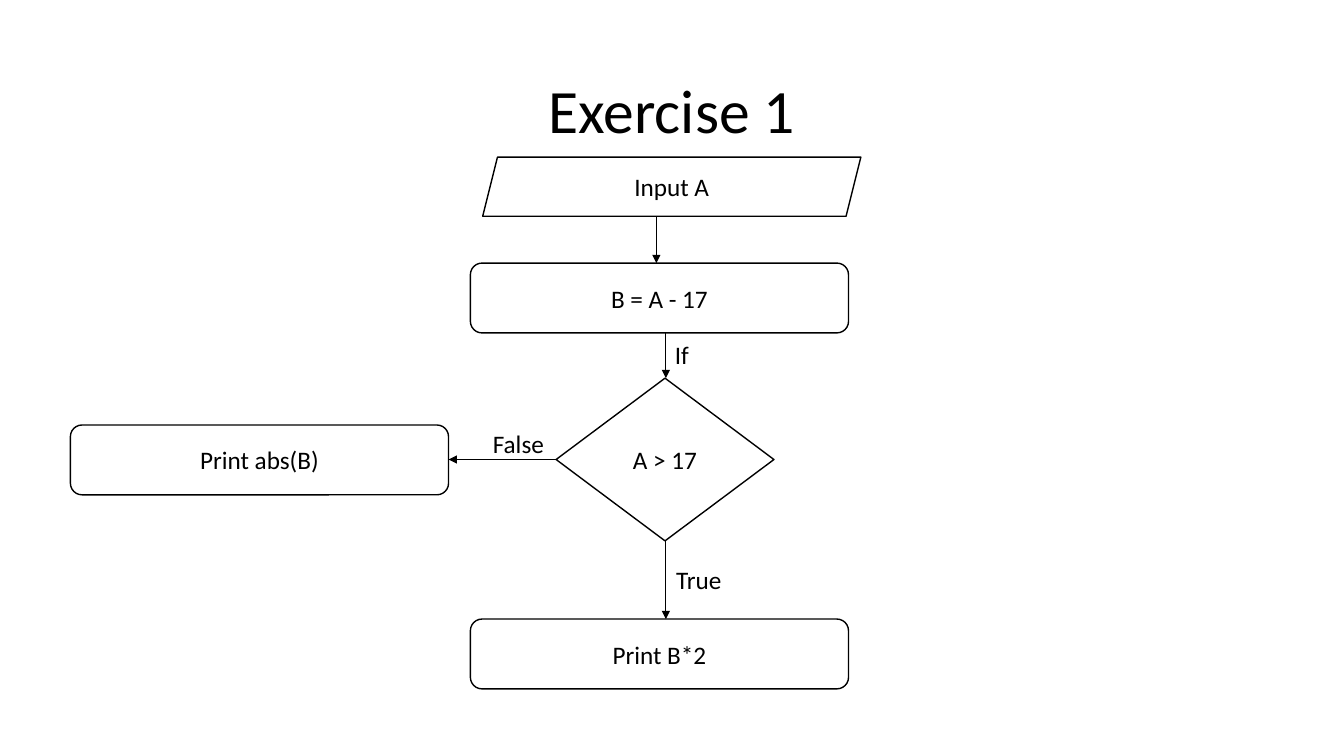
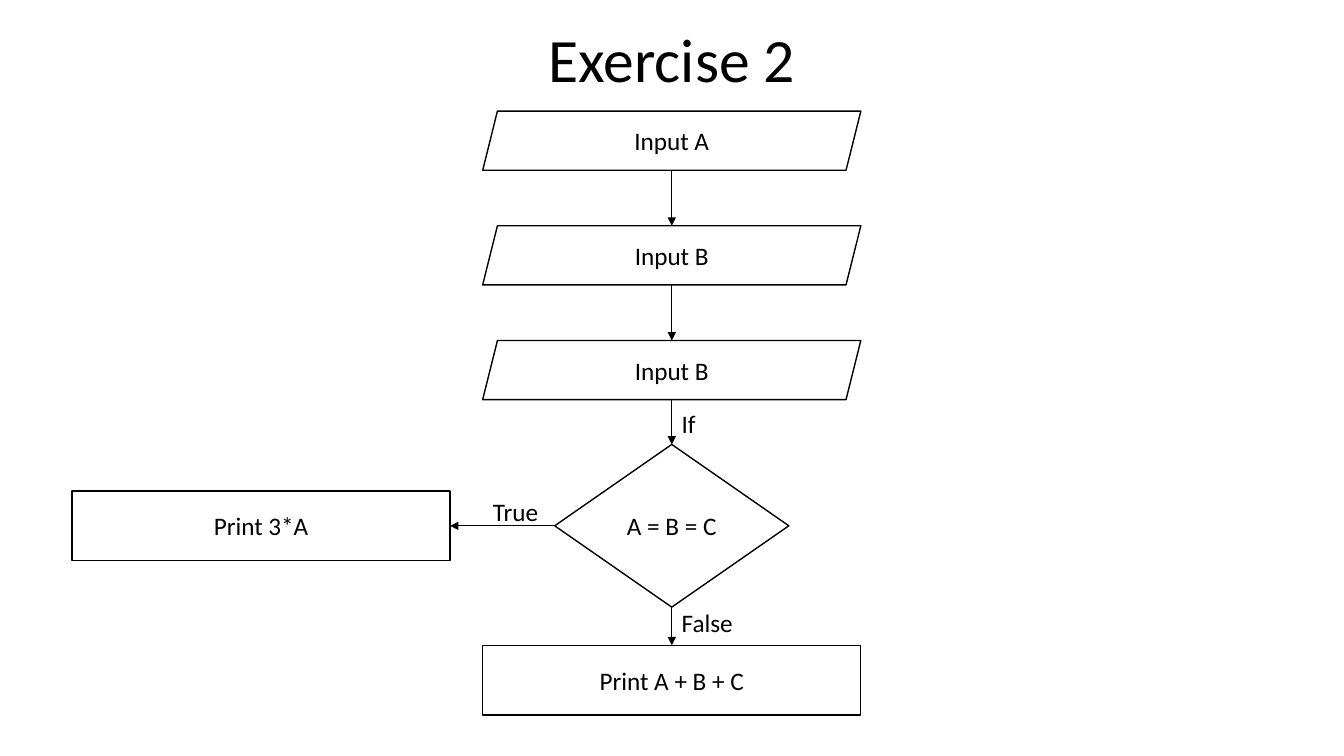
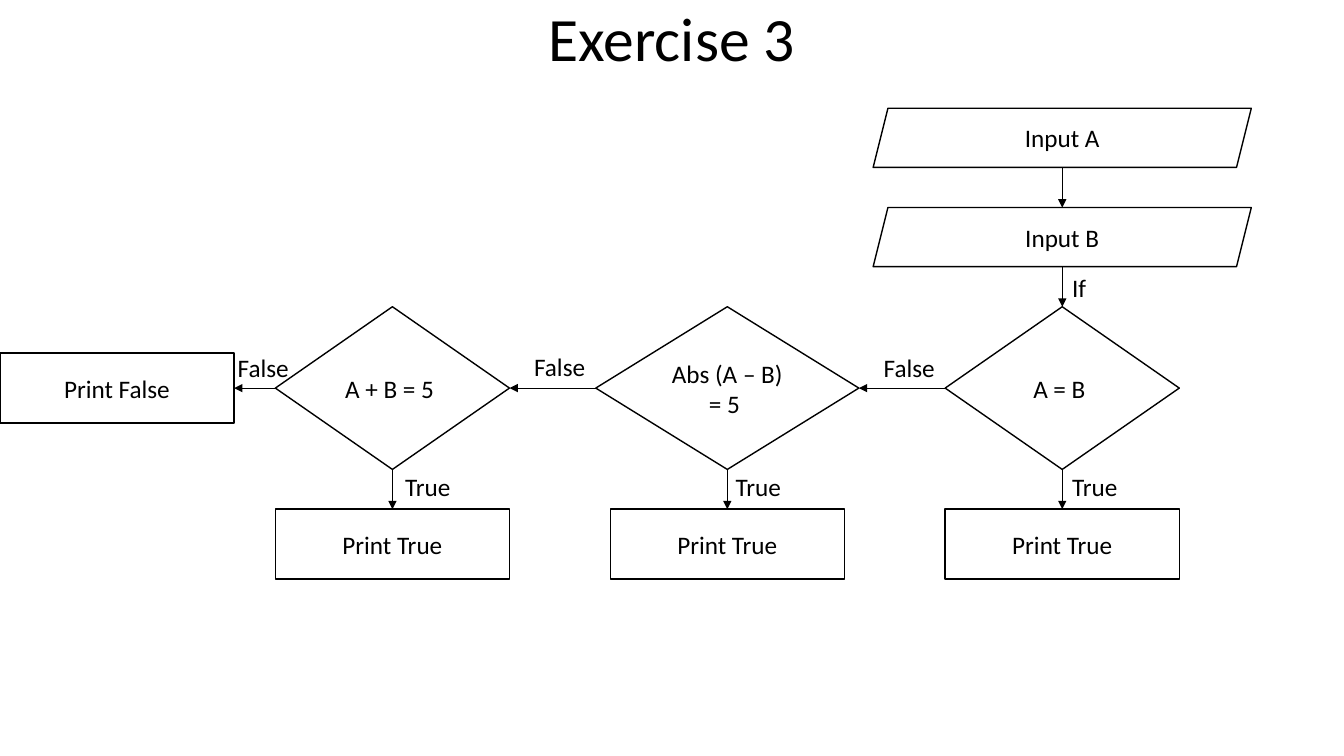
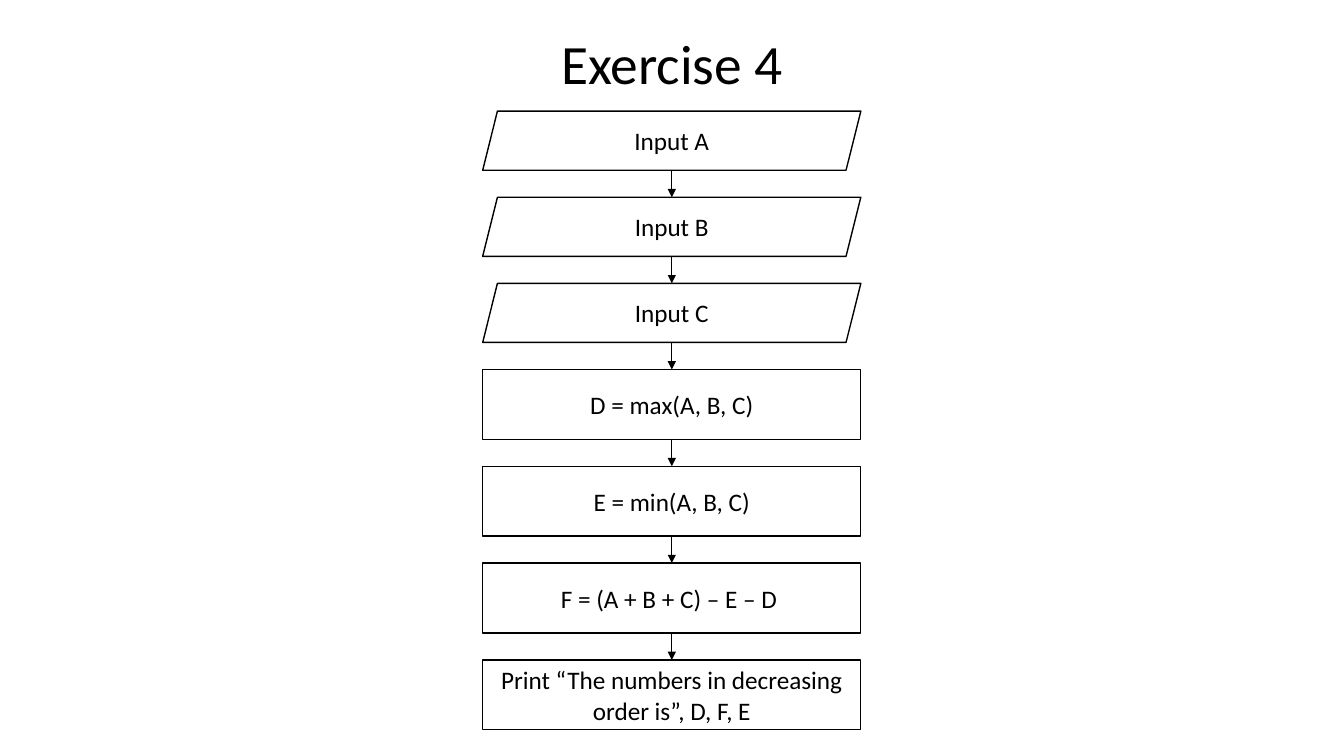
from dataclasses import dataclass

from lxml import etree
from pptx import Presentation
from pptx import util as u
from pptx.dml import color
from pptx.enum import shapes, text
from pptx.oxml import ns


@dataclass(frozen=True)
class Theme:
    ink: color.RGBColor = color.RGBColor(0, 0, 0)
    paper: color.RGBColor = color.RGBColor(255, 255, 255)
    font: str = "Calibri"
    title_size: float = 44
    small_title_size: float = 39.6
    body_size: float = 18
    outline: float = 1
    arrow: float = 0.5


theme = Theme()
preset = shapes.MSO_SHAPE
center = text.PP_ALIGN.CENTER
middle = text.MSO_ANCHOR.MIDDLE

kinds = {
    "input": (preset.PARALLELOGRAM, 9.53, 1.49),
    "round": (preset.ROUNDED_RECTANGLE, 9.53, 1.76),
    "box": (preset.RECTANGLE, 9.53, 1.76),
    "small box": (preset.RECTANGLE, 5.9, 1.76),
    "test": (preset.DIAMOND, 5.9, 4.1),
    "narrow test": (preset.DIAMOND, 5.49, 4.1),
    "wide test": (preset.DIAMOND, 6.63, 4.1),
}
label_widths = {"If": 0.86, "True": 1.68, "False": 1.8}
label_height = 1.02
title_left, title_width = 2.33, 29.21
axis = 16.93


def write(frame, content, size=theme.body_size, align=text.PP_ALIGN.LEFT,
          anchor=text.MSO_ANCHOR.TOP, wrap=True, spacing=None):
    frame.auto_size = text.MSO_AUTO_SIZE.NONE
    frame.word_wrap = wrap
    frame.vertical_anchor = anchor
    paragraph = frame.paragraphs[0]
    paragraph.alignment = align
    paragraph.line_spacing = spacing
    run = paragraph.add_run()
    run.text = content
    run.font.name = theme.font
    run.font.size = u.Pt(size)
    run.font.color.rgb = theme.ink


def add_arrow(slide, start_x, start_y, end_x, end_y):
    arrow = slide.shapes.add_connector(
        shapes.MSO_CONNECTOR.STRAIGHT,
        u.Cm(start_x), u.Cm(start_y), u.Cm(end_x), u.Cm(end_y))
    arrow.line.color.rgb = theme.ink
    arrow.line.width = u.Pt(theme.arrow)
    etree.SubElement(arrow.line._get_or_add_ln(), ns.qn("a:tailEnd"), type="triangle")
    etree.SubElement(arrow._element.spPr, ns.qn("a:effectLst"))


exercise_1 = {
    "title": ("Exercise 1", 1.02, 3.68, theme.title_size),
    "steps": {
        "input": ("input", axis, 3.96, "Input A"),
        "subtract": ("round", 16.62, 6.63, "B = A - 17"),
        "test": ("narrow test", 16.76, 9.53, "A > 17"),
        "double": ("round", 16.62, 15.6, "Print B*2"),
        "absolute": ("round", 6.54, 10.71, "Print abs(B)"),
    },
    "down": [("input", "subtract", 16.54), ("subtract", "test", 16.78),
             ("test", "double", 16.78)],
    "across": [("test", "absolute")],
    "labels": [("If", 16.76, 8.43), ("True", 16.79, 14.1), ("False", 12.17, 10.67)],
}

exercise_2 = {
    "title": ("Exercise 2", 0.36, 2.44, theme.title_size),
    "steps": {
        "first": ("input", axis, 2.8, "Input A"),
        "second": ("input", axis, 5.69, "Input B"),
        "third": ("input", axis, 8.58, "Input B"),
        "test": ("test", axis, 11.2, "A = B = C"),
        "triple": ("box", 6.58, 12.37, "Print 3*A"),
        "sum": ("box", axis, 16.26, "Print A + B + C"),
    },
    "down": [("first", "second", axis), ("second", "third", axis),
             ("third", "test", axis), ("test", "sum", axis)],
    "across": [("test", "triple")],
    "labels": [("If", axis, 10.16), ("True", 12.17, 12.37), ("False", axis, 15.17)],
}

left_axis, middle_axis, right_axis = [9.89 + 8.44 * column for column in range(3)]
exercise_3 = {
    "title": ("Exercise 3", 0, 2.1, theme.title_size),
    "steps": {
        "first": ("input", right_axis, 2.73, "Input A"),
        "second": ("input", right_axis, 5.23, "Input B"),
        "equal": ("test", right_axis, 7.73, "A = B "),
        "difference": ("wide test", middle_axis, 7.73, "Abs (A – B) = 5 "),
        "sum": ("test", left_axis, 7.73, "A + B = 5 "),
        "none": ("small box", 2.95, 8.9, "Print False"),
    },
    "down": [("first", "second", right_axis), ("second", "equal", right_axis)],
    "across": [("equal", "difference"), ("difference", "sum"), ("sum", "none")],
    "labels": [("If", right_axis, 6.75), ("False", 22.02, 8.75),
               ("False", 13.21, 8.73), ("False", 5.74, 8.76)],
}
for test, x, label_left in [("equal", right_axis, 26.77),
                            ("difference", middle_axis, 18.29),
                            ("sum", left_axis, 9.96)]:
    answer = test + " answer"
    exercise_3["steps"][answer] = ("small box", x, 12.83, "Print True")
    exercise_3["down"].append((test, answer, x))
    exercise_3["labels"].append(("True", label_left, 11.76))

exercise_4 = {
    "title": ("Exercise 4", 0.81, 1.75, theme.small_title_size),
    "steps": {}, "down": [], "across": [], "labels": [],
}
sequence = [
    ("input", "Input A"),
    ("input", "Input B"),
    ("input", "Input C"),
    ("box", "D = max(A, B, C)"),
    ("box", "E = min(A, B, C)"),
    ("box", "F = (A + B + C) – E – D "),
    ("box", "Print “The numbers in decreasing order is”, D, F, E"),
]
top, gap = 2.8, 0.68
for index, (kind, content) in enumerate(sequence):
    exercise_4["steps"][index] = (kind, axis, top, content)
    if index:
        exercise_4["down"].append((index - 1, index, axis))
    top += kinds[kind][2] + gap

presentation = Presentation()
presentation.slide_width = u.Cm(33.87)
presentation.slide_height = u.Cm(19.05)
title_only = presentation.slide_layouts[5]

for exercise in (exercise_1, exercise_2, exercise_3, exercise_4):
    slide = presentation.slides.add_slide(title_only)
    content, top, height, size = exercise["title"]
    title = slide.shapes.title
    title.left, title.top = u.Cm(title_left), u.Cm(top)
    title.width, title.height = u.Cm(title_width), u.Cm(height)
    write(title.text_frame, content, size=size, align=center, anchor=middle, spacing=0.9)

    steps = exercise["steps"]
    for kind, x, top, content in steps.values():
        outline, width, height = kinds[kind]
        shape = slide.shapes.add_shape(
            outline, u.Cm(x - width / 2), u.Cm(top), u.Cm(width), u.Cm(height))
        shape.shadow.inherit = False
        shape.fill.solid()
        shape.fill.fore_color.rgb = theme.paper
        shape.line.color.rgb = theme.ink
        shape.line.width = u.Pt(theme.outline)
        write(shape.text_frame, content, align=center, anchor=middle)

    for start, end, x in exercise["down"]:
        kind, _, top, _ = steps[start]
        add_arrow(slide, x, top + kinds[kind][2], x, steps[end][2])

    for start, end in exercise["across"]:
        start_kind, start_x, top, _ = steps[start]
        end_kind, end_x, _, _ = steps[end]
        _, start_width, height = kinds[start_kind]
        y = top + height / 2
        add_arrow(slide, start_x - start_width / 2, y,
                  end_x + kinds[end_kind][1] / 2, y)

    for content, left, top in exercise["labels"]:
        label = slide.shapes.add_textbox(
            u.Cm(left), u.Cm(top), u.Cm(label_widths[content]), u.Cm(label_height))
        write(label.text_frame, content, wrap=False)

presentation.save("out.pptx")
